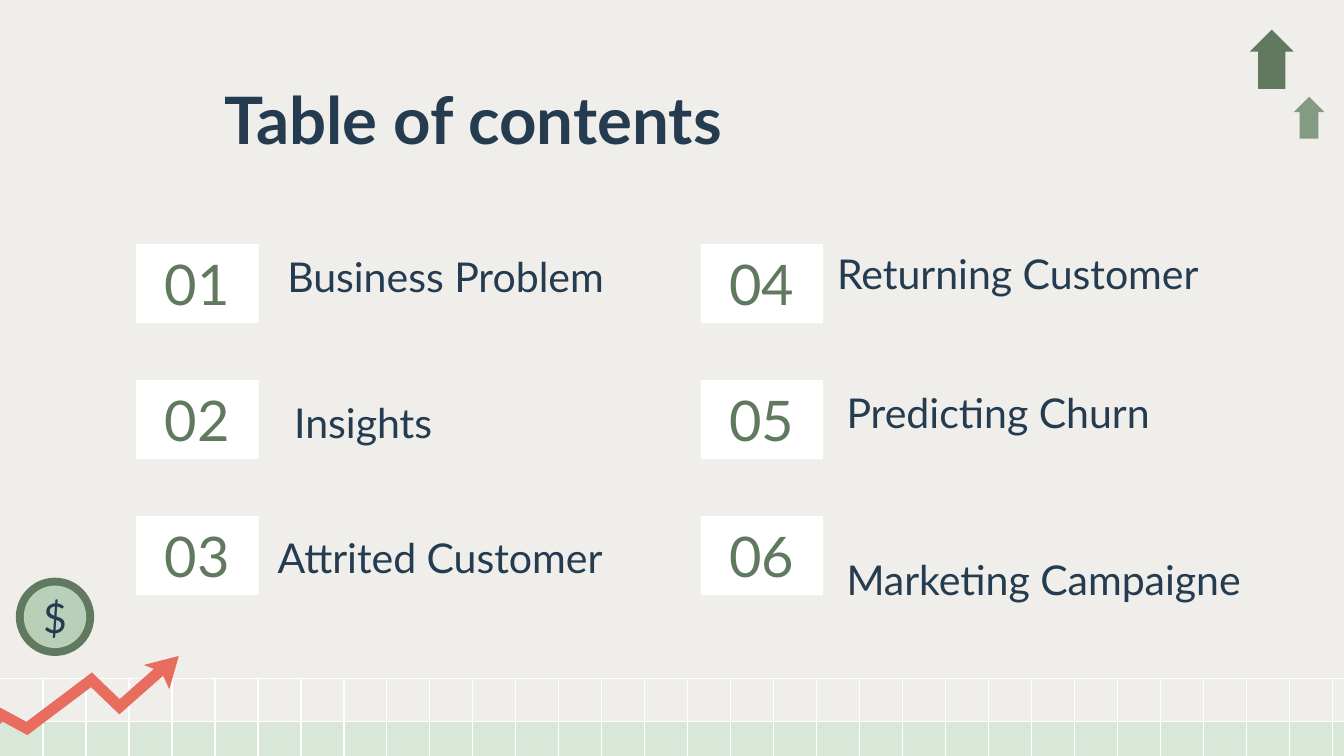
from lxml.etree import SubElement
from pptx import Presentation
from pptx.dml.color import RGBColor
from pptx.enum.shapes import MSO_CONNECTOR, MSO_SHAPE
from pptx.enum.text import MSO_ANCHOR, PP_ALIGN
from pptx.oxml.ns import qn
from pptx.util import Cm, Pt

PAPER = RGBColor(0xEF, 0xEE, 0xEA)
WHITE = RGBColor(0xFF, 0xFF, 0xFF)
NAVY = RGBColor(0x24, 0x3B, 0x50)
GREEN = RGBColor(0x61, 0x79, 0x5F)
SAGE = RGBColor(0x83, 0x9B, 0x82)
MINT = RGBColor(0xB9, 0xD0, 0xB8)
PALE = RGBColor(0xD9, 0xE7, 0xD8)
CORAL = RGBColor(0xE9, 0x6D, 0x5F)

WIDE, HIGH = 25.4, 14.29
PAD = 0.25


class Deck:
    def __init__(self, slide, face="Lato"):
        self.slide = slide
        self.face = face

    def letter(self, shape, text, size, color, bold=False,
               align=PP_ALIGN.LEFT, anchor=MSO_ANCHOR.TOP, pad=PAD):
        frame = shape.text_frame
        sides = ("left", "top", "right", "bottom")
        style = {f"margin_{side}": Cm(pad) for side in sides}
        style |= {"word_wrap": True, "vertical_anchor": anchor}
        for key, value in style.items():
            setattr(frame, key, value)
        para = frame.paragraphs[0]
        para.alignment = align
        run = para.add_run()
        run.text = text
        font = {"name": self.face, "size": Pt(size), "bold": bold}
        for key, value in font.items():
            setattr(run.font, key, value)
        run.font.color.rgb = color

    def title(self, text, box):
        shape = self.slide.shapes.title
        for key, value in zip(("left", "top", "width", "height"), box):
            setattr(shape, key, Cm(value))
        self.letter(shape, text, 35, NAVY, bold=True)

    def label(self, text, box, **style):
        shape = self.slide.shapes.add_textbox(*map(Cm, box))
        self.letter(shape, text, 22, NAVY, **style)

    def paint(self, shape, fill):
        shape.shadow.inherit = False
        shape.fill.solid()
        shape.fill.fore_color.rgb = fill
        shape.line.fill.background()
        return shape

    def block(self, kind, box, fill):
        shape = self.slide.shapes.add_shape(kind, *map(Cm, box))
        return self.paint(shape, fill)

    def outline(self, spots, close=True):
        first, *rest = [(Cm(x), Cm(y)) for x, y in spots]
        pen = self.slide.shapes.build_freeform(*first)
        pen.add_line_segments(rest, close=close)
        return pen.convert_to_shape()

    def area(self, spots, fill):
        self.paint(self.outline(spots), fill)

    def trend(self, spots, color, width):
        shape = self.outline(spots, close=False)
        shape.shadow.inherit = False
        shape.fill.background()
        shape.line.color.rgb = color
        shape.line.width = Pt(width)
        edge = shape.element.spPr.find(qn("a:ln"))
        SubElement(edge, qn("a:miter"), lim="800000")

    def arrow(self, left, top, width, height, fill):
        mid, right, low = left + width / 2, left + width, top + height
        neck, inset = top + width / 2, width * 0.19
        self.area([(mid, top), (right, neck), (right - inset, neck),
                   (right - inset, low), (left + inset, low),
                   (left + inset, neck), (left, neck)], fill)

    def rule(self, *ends):
        line = self.slide.shapes.add_connector(
            MSO_CONNECTOR.STRAIGHT, *map(Cm, ends))
        line.line.color.rgb = WHITE
        line.line.width = Pt(0.75)
        SubElement(line.element.spPr, qn("a:effectLst"))


def main():
    show = Presentation()
    show.slide_width, show.slide_height = Cm(WIDE), Cm(HIGH)
    slide = show.slides.add_slide(show.slide_layouts[5])
    slide.background.fill.solid()
    slide.background.fill.fore_color.rgb = PAPER
    deck = Deck(slide)

    # Floor band and grid
    floor, top = 13.64, 12.83
    deck.block(MSO_SHAPE.RECTANGLE, (0, floor, WIDE, HIGH - floor), PALE)
    for y in (floor, top):
        deck.rule(0, y, WIDE, y)
    for step in range(1, 32):
        x = step * 25.18 / 31
        deck.rule(x, top, x, HIGH)

    # Rising trend
    deck.trend([(-1.17, 14.73), (0.03, 13.51), (0.51, 13.77),
                (1.73, 12.85), (2.26, 13.36), (3.12, 12.6)], CORAL, 6)
    deck.area([(3.38, 12.4), (2.72, 12.57), (3.05, 12.7), (3.2, 13.03)],
              CORAL)

    # Coin
    for edge, fill in ((0, GREEN), (0.15, MINT)):
        size = 1.48 - 2 * edge
        deck.block(MSO_SHAPE.OVAL, (0.3 + edge, 10.92 + edge, size, size),
                   fill)
    deck.label("$", (0.71, 11.1, 0.66, 1.12), align=PP_ALIGN.CENTER,
               anchor=MSO_ANCHOR.MIDDLE, pad=0)

    # Corner arrows
    deck.arrow(23.62, 0.56, 0.83, 1.12, GREEN)
    deck.arrow(24.45, 1.83, 0.58, 0.79, SAGE)

    deck.title("Table of contents", (3.99, 1.24, 19.43, 1.6))

    # Numbered topics, column by column
    topics = [
        ("Business Problem", (5.18, 3.94, 7.92, 2)),
        ("Insights", (5.31, 7.19, 5.33, 1.5)),
        ("Attrited Customer", (5, 9.25, 7.92, 2)),
        ("Returning Customer", (15.57, 3.61, 8.76, 2.26)),
        ("Predicting Churn", (15.75, 7.01, 7.37, 1.5)),
        ("Marketing Campaigne", (15.75, 10.16, 8.23, 1.5)),
    ]
    for index, (text, box) in enumerate(topics):
        col, row = divmod(index, 3)
        tile = deck.block(
            MSO_SHAPE.RECTANGLE,
            (2.57 + col * 10.67, 4.61 + row * 2.57, 2.32, 1.5), WHITE)
        deck.letter(tile, f"{index + 1:02}", 30, GREEN,
                    align=PP_ALIGN.CENTER, anchor=MSO_ANCHOR.MIDDLE)
        deck.label(text, box, anchor=MSO_ANCHOR.BOTTOM)

    show.save("out.pptx")


if __name__ == "__main__":
    main()
